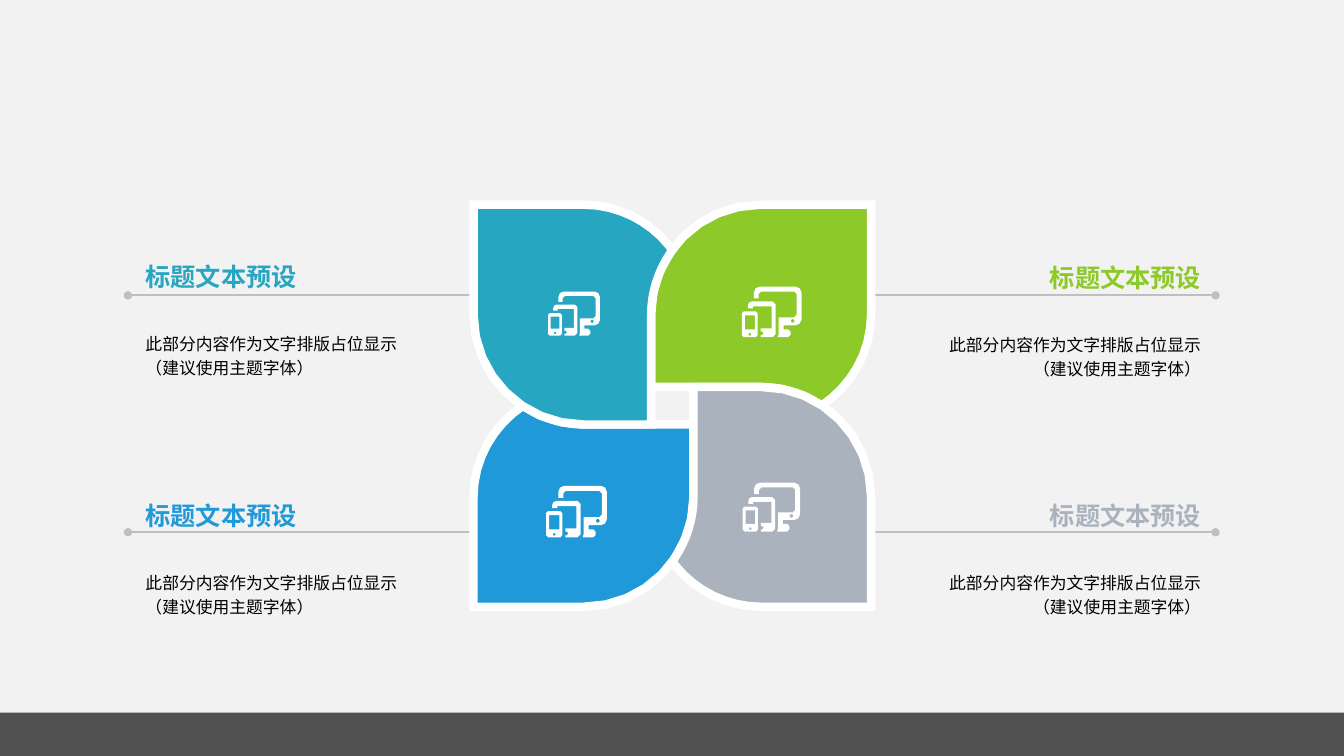
from dataclasses import dataclass

from lxml import etree
from pptx import Presentation
from pptx import util as u
from pptx.dml.color import RGBColor
from pptx.enum import shapes, text
from pptx.oxml.ns import qn

Pt = u.Pt


@dataclass(frozen=True)
class Theme:
    back: str = "F2F2F2"
    bar: str = "0D0D0D"
    rule: str = "BFBFBF"
    white: str = "FFFFFF"
    ink: str = "000000"
    teal: str = "27A6C2"
    green: str = "8DC928"
    blue: str = "2099D8"
    gray: str = "AAB2BD"
    font: str = "Calibri"
    title: float = 18
    body: float = 12


T = Theme()
TITLE = "标题文本预设"
BODY = ("此部分内容作为文字排版占位显示", "（建议使用主题字体）")
CENTER = (480.25, 289.8)
PETAL_STEPS = 8
WIDE_RADIUS = 4
KAPPA = 0.55

UPPER_PETAL = [
    (-142, -143.6), (-63.4, -143.6),
    ((-39, -143.6), (-16.7, -132), (-2.9, -115)),
    (0, -111.3), (-1.5, -109),
    ((-10.1, -96.2), (-15.1, -81), (-15.1, -65.2)),
    (-15.1, 13.4), (-63.4, 13.4),
    ((-106.7, 13.4), (-142, -21.8), (-142, -65.2)),
]
LOWER_PETAL = [
    (-106.6, 0), (-100.1, 4),
    ((-89.3, 9.9), (-76.3, 13.4), (-63.4, 13.4)),
    (15.1, 13.4), (15.1, 65.2),
    ((15.1, 108.5), (-19.8, 143.6), (-63.4, 143.6)),
    (-142, 143.6), (-142, 65.2),
    ((-142, 37.8), (-127.5, 14), (-106.6, 0)),
]

ICON_WIDTH = 60
TABLET = [(6, 15, 4), (34, 15, 3), (34, 51, 3), (19, 51, 0), (19, 49, 0),
          (22, 49, 1.8), (22, 45.2, 1.8), (19, 45.2, 0), (19, 42, 0), (30, 42, 0),
          (30, 20, 0), (11, 20, 0), (11, 22, 0), (6, 22, 0)]
MONITOR = [(12, 0, 6), (60, 0, 6), (60, 39, 6), (42, 39, 0), (42, 43, 0),
           (49, 43, 2.5), (49, 51, 2.5), (36, 51, 0), (37, 48, 0), (37, 31, 0),
           (55, 31, 2.5), (55, 5, 2.5), (17, 5, 2.5), (17, 12, 0), (12, 12, 0)]


def box(left, top, right, bottom, radius=0):
    return [(left, top, radius), (right, top, radius),
            (right, bottom, radius), (left, bottom, radius)]


DEVICES = [box(6.7, 46.7, 9.3, 49.3, 0.8), box(49.2, 32.8, 52.8, 36.4, 1.1),
           box(3, 29, 13, 43), box(0, 25, 16, 51, 2), TABLET, MONITOR]


def rgb(value):
    return RGBColor.from_string(value)


def cubic(a, b, c, d, steps):
    for i in range(1, steps + 1):
        t = i / steps
        k = 1 - t
        yield tuple(k**3 * w + 3 * k * k * t * x + 3 * k * t * t * y + t**3 * z
                    for w, x, y, z in zip(a, b, c, d))


def trace(path):
    points = []
    for step in path:
        if isinstance(step[0], tuple):
            points.extend(cubic(points[-1], *step, PETAL_STEPS))
        else:
            points.append(step)
    return points


def toward(a, b, part):
    return tuple(m + (n - m) * part for m, n in zip(a, b))


def rounded(corners):
    points = []
    for i, (x, y, radius) in enumerate(corners):
        corner = (x, y)
        if not radius:
            points.append(corner)
            continue
        start, end = (
            toward(corner, other, radius / sum(abs(m - n) for m, n in zip(corner, other)))
            for other in (corners[i - 1][:2], corners[(i + 1) % len(corners)][:2]))
        points.append(start)
        points.extend(cubic(start, toward(start, corner, KAPPA), toward(end, corner, KAPPA),
                            end, 2 if radius >= WIDE_RADIUS else 1))
    return points


def fill_solid(sp, color):
    sp.shadow.inherit = False
    sp.fill.solid()
    sp.fill.fore_color.rgb = rgb(color)


def add_outline(s, contours, left, top, scale, color):
    placed = [[(Pt(left + x * scale), Pt(top + y * scale)) for x, y in contour]
              for contour in contours]
    builder = s.shapes.build_freeform(*placed[0][0])
    for i, points in enumerate(placed):
        if i:
            builder.move_to(*points[0])
        builder.add_line_segments(points[1:], close=True)
    sp = builder.convert_to_shape()
    fill_solid(sp, color)
    return sp


def add_petal(s, path, turn, color):
    sp = add_outline(s, [trace(path)], *CENTER, turn, color)
    sp.line.color.rgb = rgb(T.white)
    sp.line.width = Pt(6)
    ln = sp._element.spPr.find(qn("a:ln"))
    etree.SubElement(ln, qn("a:miter"), lim="800000")


def add_icon(s, left, top, width):
    sp = add_outline(s, [rounded(c) for c in DEVICES], left, top, width / ICON_WIDTH, T.white)
    sp.line.fill.background()


def add_bar(s):
    sp = s.shapes.add_shape(shapes.MSO_SHAPE.RECTANGLE, 0, Pt(509), Pt(960), Pt(31))
    fill_solid(sp, T.bar)
    sp.line.fill.background()
    color = sp._element.spPr.find(qn("a:solidFill"))[0]
    etree.SubElement(color, qn("a:alpha"), val="70000")


def add_rule(s, left, right, y):
    line = s.shapes.add_connector(shapes.MSO_CONNECTOR.STRAIGHT,
                                  Pt(left), Pt(y), Pt(right), Pt(y))
    line.line.color.rgb = rgb(T.rule)
    line.line.width = Pt(1.5)
    ln = line._element.spPr.find(qn("a:ln"))
    for end in ("a:headEnd", "a:tailEnd"):
        etree.SubElement(ln, qn(end), type="oval")
    etree.SubElement(line._element.spPr, qn("a:effectLst"))


def add_text(s, lines, left, top, width, height, align, size, color, bold=False):
    tf = s.shapes.add_textbox(Pt(left), Pt(top), Pt(width), Pt(height)).text_frame
    tf.margin_left = tf.margin_right = Pt(6)
    tf.margin_top = tf.margin_bottom = 0
    p = tf.paragraphs[0]
    for i, line in enumerate(lines):
        if i:
            p.add_line_break()
        p.add_run().text = line
    p.alignment = align
    p.font.name = T.font
    p.font.size = Pt(size)
    p.font.bold = bold
    p.font.color.rgb = rgb(color)
    return tf


def add_caption(s, left, top, width, align, color):
    title = add_text(s, [TITLE], left, top, width, 30.3, align, T.title, color, True)
    title.word_wrap = False
    body = add_text(s, BODY, left, top + 30.3, width, 72, align, T.body, T.ink)
    body.word_wrap = True
    body.vertical_anchor = text.MSO_ANCHOR.MIDDLE
    body.paragraphs[0].line_spacing = 1.2


def main():
    prs = Presentation()
    prs.slide_width, prs.slide_height = Pt(960), Pt(540)
    s = prs.slides.add_slide(prs.slide_layouts[6])
    s.background.fill.solid()
    s.background.fill.fore_color.rgb = rgb(T.back)
    add_bar(s)
    for y in (211, 380.2):
        add_rule(s, 91.4, 377.3, y)
        add_rule(s, 582.5, 868.3, y)
    left, right = text.PP_ALIGN.LEFT, text.PP_ALIGN.RIGHT
    for top, color in ((186.5, T.teal), (357.1, T.blue)):
        add_caption(s, 97.9, top, 193.7, left, color)
    for top, color in ((187.2, T.green), (357.1, T.gray)):
        add_caption(s, 650.9, top, 213.1, right, color)
    for path, colors in ((LOWER_PETAL, (T.blue, T.green)), (UPPER_PETAL, (T.teal, T.gray))):
        for turn, color in zip((1, -1), colors):
            add_petal(s, path, turn, color)
    for spot in ((529.9, 204.7, 42.6), (391.5, 208.3, 37),
                 (390.1, 347, 43.4), (530.5, 344.8, 41)):
        add_icon(s, *spot)
    prs.save("out.pptx")


if __name__ == "__main__":
    main()
